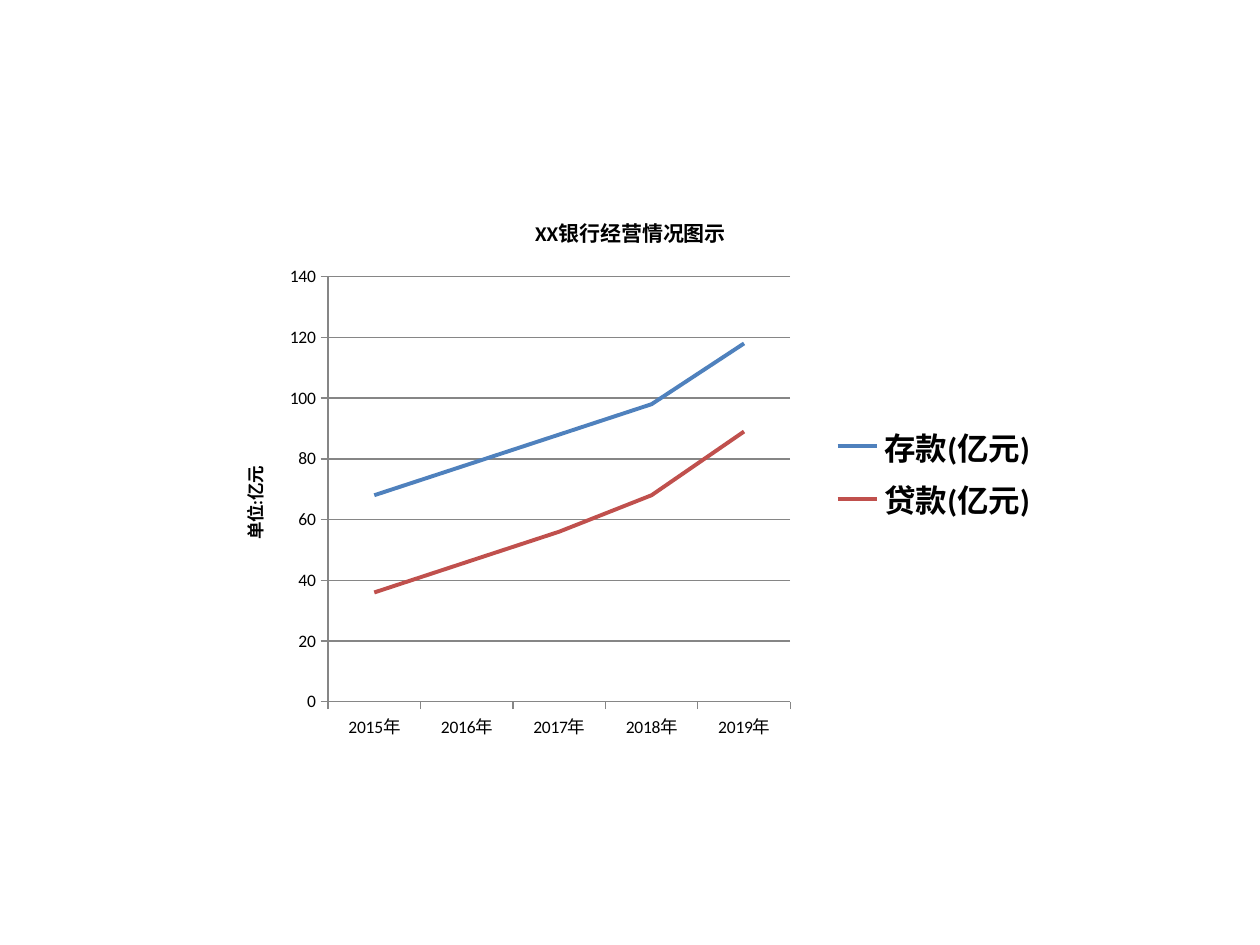
from dataclasses import dataclass

from lxml import etree
from pptx import Presentation
from pptx.chart.data import CategoryChartData
from pptx.dml.color import RGBColor
from pptx.enum.chart import XL_CHART_TYPE, XL_LEGEND_POSITION, XL_MARKER_STYLE, XL_TICK_MARK
from pptx.oxml import parse_xml
from pptx.util import Inches, Pt

LINE_CHART = XL_CHART_TYPE.LINE
LEGEND_RIGHT = XL_LEGEND_POSITION.RIGHT
NO_MARKER = XL_MARKER_STYLE.NONE
TICK_OUTSIDE = XL_TICK_MARK.OUTSIDE
NO_TICK = XL_TICK_MARK.NONE
CHART_NAMESPACE = "http://schemas.openxmlformats.org/drawingml/2006/chart"


@dataclass(frozen=True)
class Theme:
    """Colours, font and type sizes of the slide."""
    font: str = "Calibri"
    text: str = "000000"
    grid: str = "868686"
    deposits: str = "4F81BD"
    loans: str = "C0504D"
    title_size: int = 12
    axis_size: int = 10
    legend_size: int = 18


theme = Theme()


def style_font(font, size, bold=False):
    """Apply the theme font and text colour at the given size."""
    font.name = theme.font
    font.size = Pt(size)
    font.bold = bold
    font.color.rgb = RGBColor.from_string(theme.text)


def style_line(line, color, width):
    """Give a line a solid colour and a width in points."""
    line.color.rgb = RGBColor.from_string(color)
    line.width = Pt(width)


presentation = Presentation()
presentation.slide_width = Inches(10)
presentation.slide_height = Inches(7.5)
slide = presentation.slides.add_slide(presentation.slide_layouts[6])

# Bank deposits and loans by year
chart_data = CategoryChartData()
chart_data.categories = [f"{year}年" for year in range(2015, 2020)]
chart_data.add_series("存款(亿元)", (68, 78, 88, 98, 118))
chart_data.add_series("贷款(亿元)", (36, 46, 56, 68, 89))
chart = slide.shapes.add_chart(
    LINE_CHART, Inches(1.67), Inches(1.53), Inches(6.67), Inches(4.44), chart_data
).chart
style_font(chart.font, theme.legend_size)

for series, color in zip(chart.plots[0].series, (theme.deposits, theme.loans)):
    series.smooth = False
    series.marker.style = NO_MARKER
    style_line(series.format.line, color, 2.25)
chart.plots[0].vary_by_categories = False

# Axes
value_axis = chart.value_axis
for axis in (chart.category_axis, value_axis):
    axis.major_tick_mark = TICK_OUTSIDE
    axis.minor_tick_mark = NO_TICK
    style_font(axis.tick_labels.font, theme.axis_size)
    style_line(axis.format.line, theme.grid, 0.75)
value_axis.minimum_scale = 0
value_axis.maximum_scale = 140
value_axis.major_unit = 20
value_axis.has_major_gridlines = True
style_line(value_axis.major_gridlines.format.line, theme.grid, 0.75)

# Titles and legend
for owner, text, size in (
    (chart, "XX银行经营情况图示", theme.title_size),
    (value_axis, "单位:亿元", theme.axis_size),
):
    owner.has_title = True
    title = owner.chart_title if owner is chart else owner.axis_title
    title.text_frame.text = text
    style_font(title.text_frame.paragraphs[0].font, size, bold=True)
chart.has_legend = True
chart.legend.position = LEGEND_RIGHT
chart.legend.include_in_layout = False
style_font(chart.legend.font, theme.legend_size, bold=True)

# Inner plot area, as fractions of the chart
plot_area = chart.plots[0]._element.getparent()
for old_layout in plot_area.findall(f"{{{CHART_NAMESPACE}}}layout"):
    plot_area.remove(old_layout)
layout = parse_xml(f'<c:layout xmlns:c="{CHART_NAMESPACE}"><c:manualLayout/></c:layout>')
for tag, value in (
    ("layoutTarget", "inner"), ("xMode", "edge"), ("yMode", "edge"),
    ("x", "0.14"), ("y", "0.15"), ("w", "0.55"), ("h", "0.76"),
):
    etree.SubElement(layout[0], f"{{{CHART_NAMESPACE}}}{tag}", val=value)
plot_area.insert(0, layout)

presentation.save("out.pptx")
